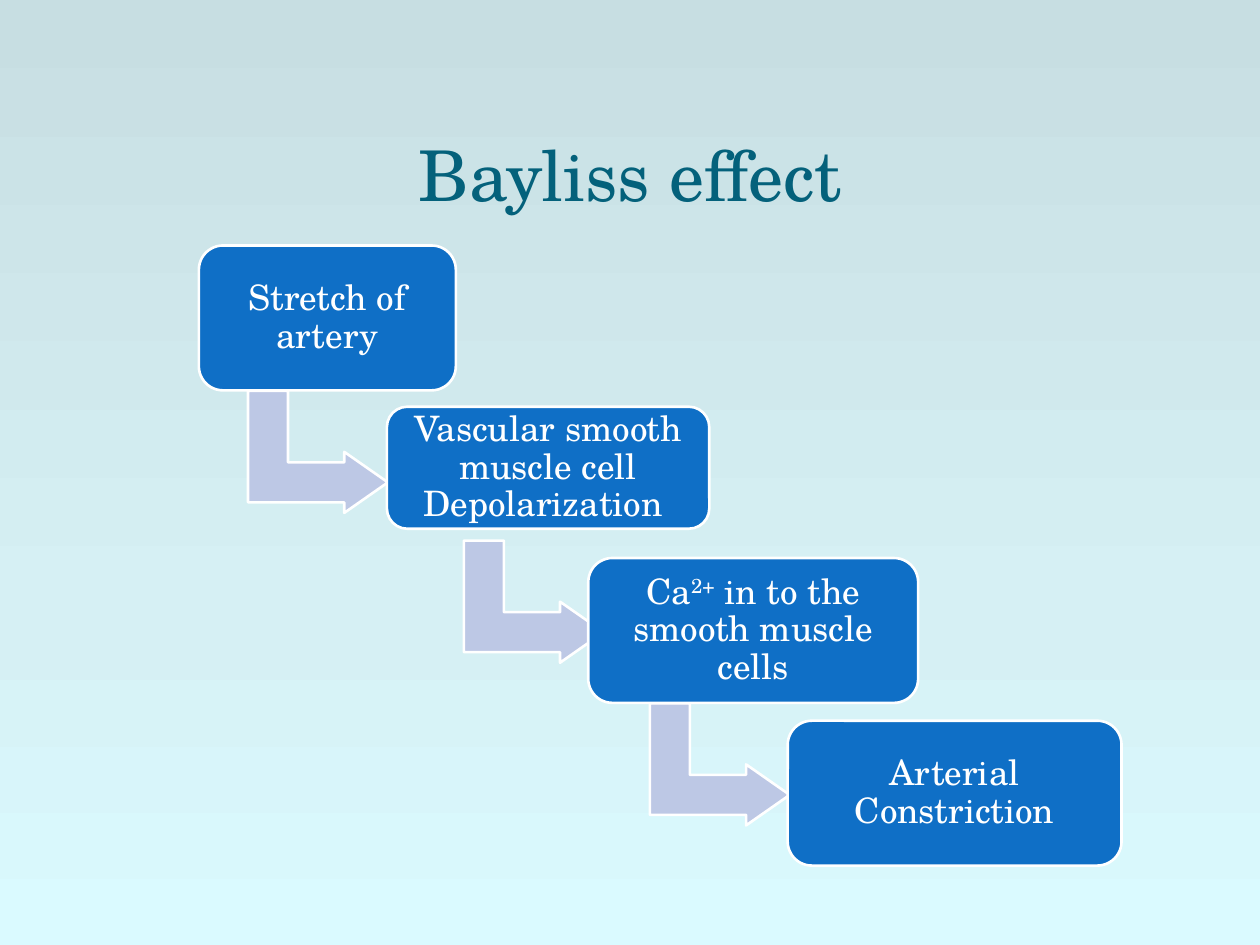
from copy import deepcopy
from dataclasses import dataclass

from pptx import Presentation
from pptx import util as u
from pptx.dml.color import RGBColor
from pptx.enum import shapes, text
from pptx.oxml.ns import qn

FONT = "TeX Gyre Schola"
WHITE, BLUE, LAVENDER, TEAL = "FFFFFF", "0F6FC6", "BDC8E5", "04617B"
BACKGROUND_STOPS = [(0, "C7DEE2"), (0.65, "D6F0F4"), (1, "DAFAFF")]
ARROW_SIZE = (2.46, 2.82)
ARROW_ADJUSTMENTS = (0.328, 0.25, 0.358)


@dataclass
class Step:
    """One box of the staircase, in cm; runs pair wording with its baseline shift in %."""
    left: float
    top: float
    width: float
    height: float
    runs: list[tuple[str, int]]
    arrow: tuple[float, float] | None = None


STEPS = [
    Step(4.01, 4.95, 5.18, 2.92, [("Stretch of artery", 0)], (5.18, 7.7)),
    Step(7.8, 8.2, 6.5, 2.46,
         [("Vascular smooth muscle cell Depolarization ", 0)], (9.53, 10.72)),
    Step(11.86, 11.25, 6.65, 2.92,
         [("Ca", 0), ("2+", 30), (" in to the smooth muscle cells", 0)], (13.28, 14)),
    Step(15.88, 14.53, 6.73, 2.92, [("Arterial Constriction", 0)]),
]


def color(value: str) -> RGBColor:
    return RGBColor.from_string(value)


def add_run(para, wording: str, size: float, ink: str, baseline: int = 0) -> None:
    span = para.add_run()
    span.text = wording
    span.font.name = FONT
    span.font.size = u.Pt(size)
    span.font.color.rgb = color(ink)
    if baseline:
        span.font._element.set("baseline", str(baseline * 1000))


def add_outlined(slide, kind, left: float, top: float, width: float, height: float,
                 fill: str):
    shape = slide.shapes.add_shape(kind, u.Cm(left), u.Cm(top), u.Cm(width), u.Cm(height))
    shape.shadow.inherit = False
    shape.fill.solid()
    shape.fill.fore_color.rgb = color(fill)
    shape.line.color.rgb = color(WHITE)
    shape.line.width = u.Pt(1.5)
    return shape


def add_step(slide, step: Step) -> None:
    if step.arrow:
        arrow = add_outlined(slide, shapes.MSO_SHAPE.BENT_UP_ARROW,
                             *step.arrow, *ARROW_SIZE, LAVENDER)
        arrow.rotation = 90
        for index, value in enumerate(ARROW_ADJUSTMENTS):
            arrow.adjustments[index] = value
    box = add_outlined(slide, shapes.MSO_SHAPE.ROUNDED_RECTANGLE,
                       step.left, step.top, step.width, step.height, BLUE)
    frame = box.text_frame
    frame.word_wrap = True
    frame.vertical_anchor = text.MSO_ANCHOR.MIDDLE
    frame.margin_left = frame.margin_right = u.Cm(0.2)
    frame.margin_top = frame.margin_bottom = u.Cm(0.2)
    para = frame.paragraphs[0]
    para.alignment = text.PP_ALIGN.CENTER
    para.line_spacing = 0.9
    for wording, baseline in step.runs:
        add_run(para, wording, 20, WHITE, baseline)


def paint_background(slide) -> None:
    fill = slide.background.fill
    fill.gradient()
    fill.gradient_angle = 270
    stop_list = slide._element.find(".//" + qn("a:gsLst"))
    stop_list.append(deepcopy(stop_list[-1]))
    for stop, (position, value) in zip(fill.gradient_stops, BACKGROUND_STOPS):
        stop.position = position
        stop.color.rgb = color(value)


def add_title(slide) -> None:
    title = slide.shapes.title
    title.left, title.top = u.Cm(2.54), u.Cm(1.27)
    title.width, title.height = u.Cm(20.32), u.Cm(3.2)
    title.text_frame.vertical_anchor = text.MSO_ANCHOR.BOTTOM
    para = title.text_frame.paragraphs[0]
    para.alignment = text.PP_ALIGN.CENTER
    add_run(para, "Bayliss effect", 40, TEAL)


def main() -> None:
    deck = Presentation()
    deck.slide_width, deck.slide_height = u.Cm(25.4), u.Cm(19.05)
    slide = deck.slides.add_slide(deck.slide_layouts.get_by_name("Title Only"))
    paint_background(slide)
    add_title(slide)
    for step in STEPS:
        add_step(slide, step)
    deck.save("out.pptx")


if __name__ == "__main__":
    main()
